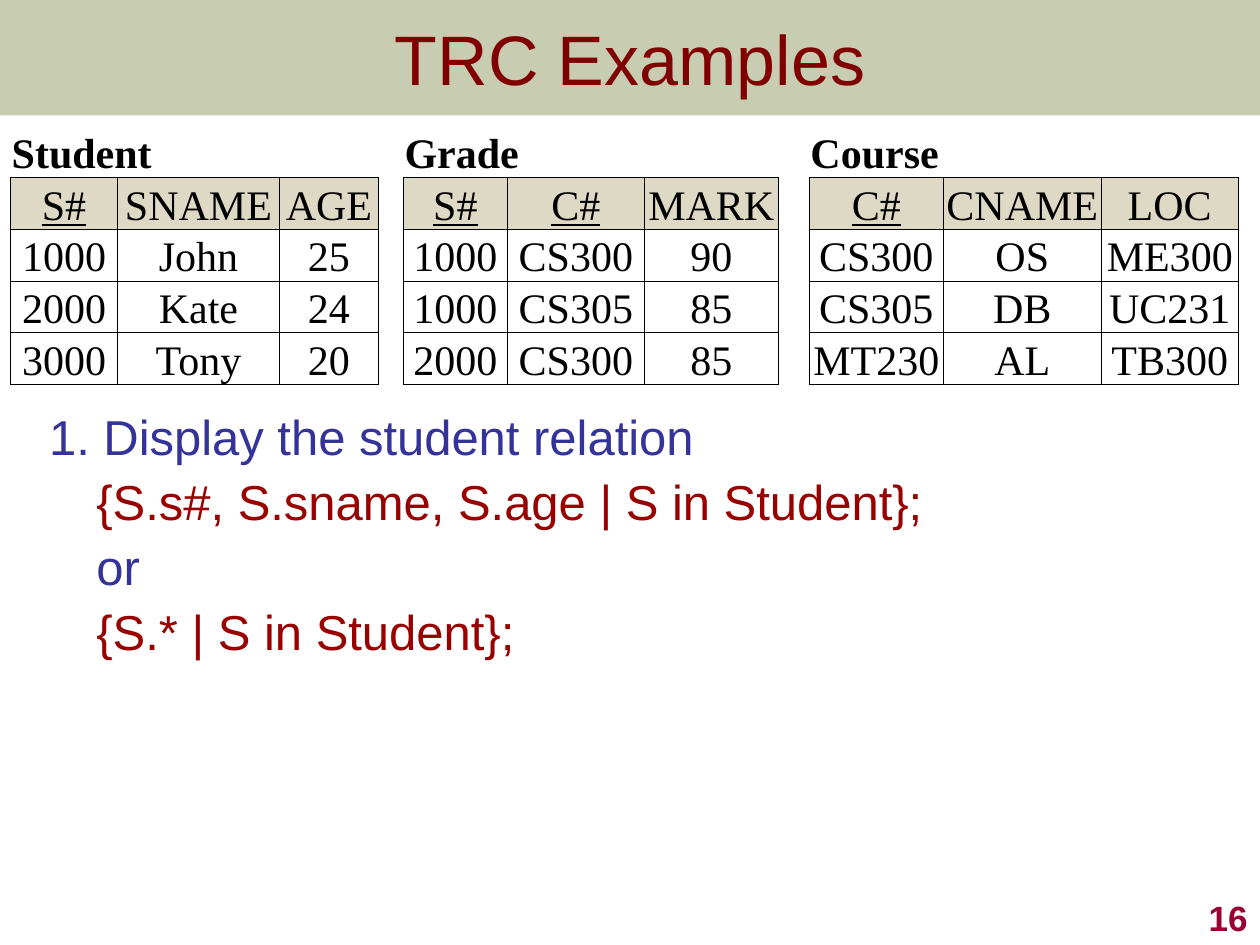
from dataclasses import dataclass

from lxml import etree
from pptx import Presentation
from pptx.dml.color import RGBColor
from pptx.enum import shapes, text
from pptx.oxml import ns
from pptx.util import Pt


@dataclass(frozen=True)
class Theme:
    sans: str = "Arial"
    serif: str = "Times New Roman"
    band: str = "677228"
    band_alpha: int = 36
    title: str = "800000"
    body: str = "333399"
    query: str = "990000"
    number: str = "990033"
    ink: str = "000000"
    paper: str = "FFFFFF"
    header: str = "DDD9C4"
    title_size: int = 40
    body_size: int = 28
    table_size: int = 24
    number_size: int = 20


T = Theme()
NO_STYLE = "{2D5ABB26-0587-4C30-8999-92F81FD0307C}"
CELL_INSET = 0.7
GRID_WIDTHS = [
    [61.14, 92.57, 56.57],
    [59.43, 78.29, 76.57],
    [76.57, 90.29, 78.29],
]
GAPS = [14.29, 17.71]
RELATIONS = [
    ("Student", 1, [["S#", "SNAME", "AGE"], ["1000", "John", "25"],
                    ["2000", "Kate", "24"], ["3000", "Tony", "20"]]),
    ("Grade", 2, [["S#", "C#", "MARK"], ["1000", "CS300", "90"],
                  ["1000", "CS305", "85"], ["2000", "CS300", "85"]]),
    ("Course", 1, [["C#", "CNAME", "LOC"], ["CS300", "OS", "ME300"],
                   ["CS305", "DB", "UC231"], ["MT230", "AL", "TB300"]]),
]
ANSWER = [
    ("1. Display the student relation", T.body),
    ("{S.s#, S.sname, S.age | S in Student};", T.query),
    ("or", T.body),
    ("{S.* | S in Student};", T.query),
]


def write(p, content, size, color, font=T.sans, bold=False, underline=False,
          align=text.PP_ALIGN.LEFT):
    p.alignment = align
    r = p.add_run()
    r.text = content
    r.font.name, r.font.size = font, Pt(size)
    r.font.bold, r.font.underline = bold, underline
    r.font.color.rgb = RGBColor.from_string(color)


def add_box(s, box, anchor):
    tf = s.shapes.add_textbox(*map(Pt, box)).text_frame
    tf.word_wrap = True
    tf.vertical_anchor = anchor
    return tf


def add_title(s, box):
    sp = s.shapes.add_shape(shapes.MSO_SHAPE.RECTANGLE, *map(Pt, box))
    sp.shadow.inherit = False
    sp.line.fill.background()
    sp.fill.solid()
    sp.fill.fore_color.rgb = RGBColor.from_string(T.band)
    color = sp.fill._xPr.find(".//" + ns.qn("a:srgbClr"))
    etree.SubElement(color, ns.qn("a:alpha"), val=str(T.band_alpha * 1000))
    tf = add_box(s, box, text.MSO_ANCHOR.MIDDLE)
    write(tf.paragraphs[0], "TRC Examples", T.title_size, T.title,
          align=text.PP_ALIGN.CENTER)


def style_cell(cell, fill, sides):
    cell.margin_left = cell.margin_right = cell.margin_top = Pt(CELL_INSET)
    cell.margin_bottom = 0
    cell.vertical_anchor = text.MSO_ANCHOR.BOTTOM
    tc_pr = cell._tc.get_or_add_tcPr()
    for side in "LRTB":
        ln = etree.SubElement(tc_pr, ns.qn(f"a:ln{side}"), w=str(Pt(0.5)))
        if side in sides:
            solid = etree.SubElement(ln, ns.qn("a:solidFill"))
            etree.SubElement(solid, ns.qn("a:srgbClr"), val=T.ink)
        else:
            etree.SubElement(ln, ns.qn("a:noFill"))
    cell.fill.solid()
    cell.fill.fore_color.rgb = RGBColor.from_string(fill)


def fill_relation(table, first, name, key_count, rows):
    for col in range(len(rows[0])):
        style_cell(table.cell(0, first + col), T.paper, "B")
    heading = table.cell(0, first)
    heading.merge(table.cell(0, first + len(rows[0]) - 1))
    write(heading.text_frame.paragraphs[0], name, T.table_size, T.ink,
          font=T.serif, bold=True)
    for row, values in enumerate(rows, 1):
        for col, value in enumerate(values):
            cell = table.cell(row, first + col)
            style_cell(cell, T.header if row == 1 else T.paper, "LRTB")
            write(cell.text_frame.paragraphs[0], value, T.table_size, T.ink,
                  font=T.serif, underline=row == 1 and col < key_count,
                  align=text.PP_ALIGN.CENTER)


def add_relations(s, box):
    left, top, width, height = box
    widths = list(GRID_WIDTHS[0])
    for gap, group in zip(GAPS, GRID_WIDTHS[1:]):
        widths += [gap, *group]
    row_count = len(RELATIONS[0][2]) + 1
    table = s.shapes.add_table(row_count, len(widths), Pt(left), Pt(top),
                               Pt(width), Pt(height)).table
    table.first_row = table.horz_banding = False
    table._tbl.tblPr.find(ns.qn("a:tableStyleId")).text = NO_STYLE
    for column, w in zip(table.columns, widths):
        column.width = Pt(w)
    for row in table.rows:
        row.height = Pt(height / row_count)
    first = 0
    for name, key_count, rows in RELATIONS:
        fill_relation(table, first, name, key_count, rows)
        first += len(rows[0]) + 1
        if first < len(widths):
            for row in range(row_count):
                style_cell(table.cell(row, first - 1), T.paper,
                           "LR" if row else "")


def add_answer(s, box):
    tf = add_box(s, box, text.MSO_ANCHOR.TOP)
    tf.margin_right = 0
    for i, (content, color) in enumerate(ANSWER):
        p = tf.add_paragraph() if i else tf.paragraphs[0]
        p.line_spacing = 0.9
        if i:
            p.space_before = Pt(6.8)
            p._p.get_or_add_pPr().set("marL", str(Pt(27)))
        write(p, content, T.body_size, color)


def add_number(s, box):
    tf = add_box(s, box, text.MSO_ANCHOR.BOTTOM)
    write(tf.paragraphs[0], "16", T.number_size, T.number, bold=True,
          align=text.PP_ALIGN.RIGHT)


def main():
    prs = Presentation()
    prs.slide_width, prs.slide_height = Pt(720), Pt(540)
    s = prs.slides.add_slide(prs.slide_layouts[6])
    add_title(s, (0, 0, 720, 66))
    add_answer(s, (21, 232.6, 653, 192))
    add_number(s, (570, 504, 150, 36))
    add_relations(s, (6, 72, 701.66, 137.2))
    prs.save("out.pptx")


if __name__ == "__main__":
    main()
